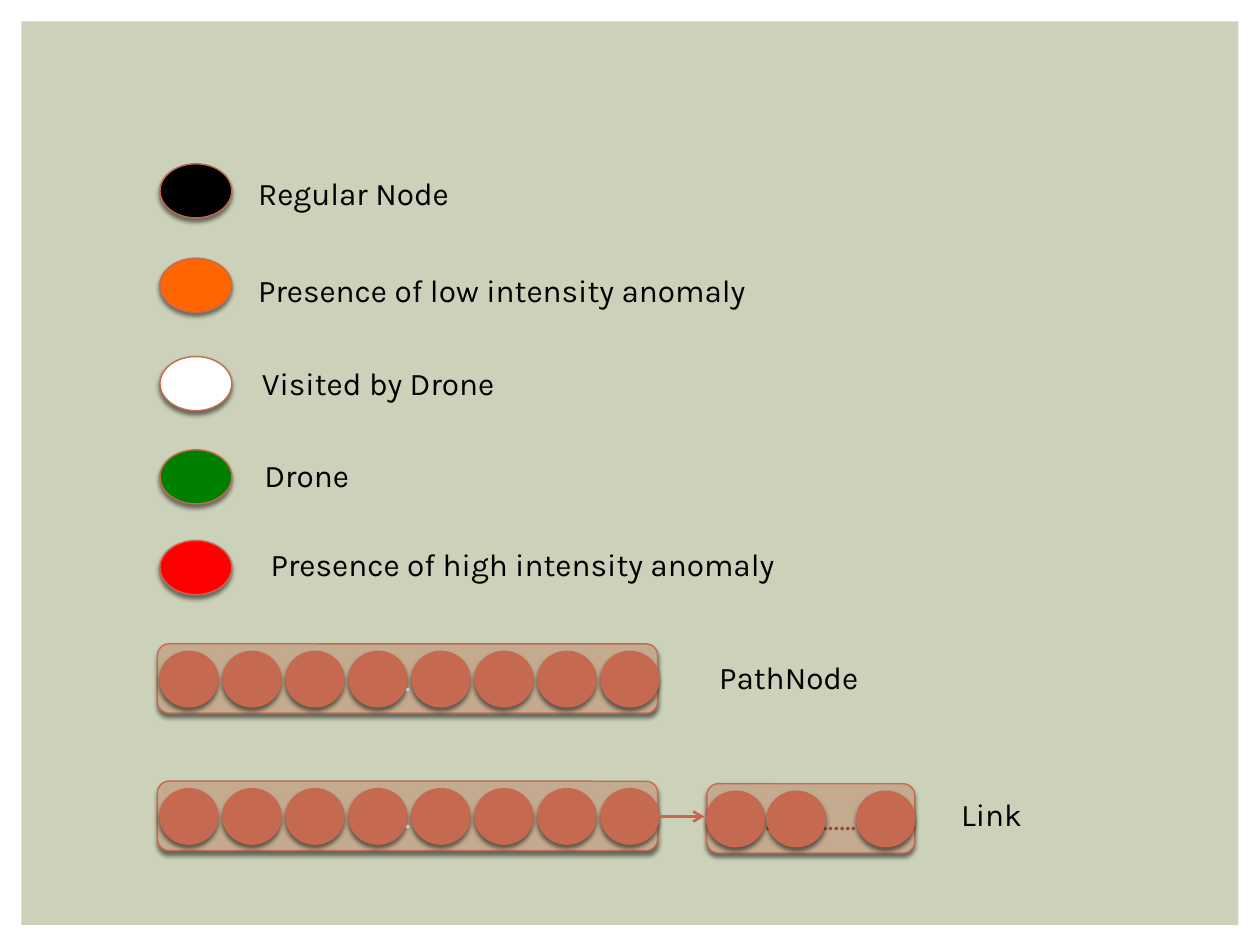
from dataclasses import dataclass
from lxml.etree import SubElement
from pptx import Presentation
from pptx.dml.color import RGBColor
from pptx.enum.shapes import MSO_CONNECTOR, MSO_SHAPE
from pptx.enum.text import MSO_ANCHOR, MSO_AUTO_SIZE, PP_ALIGN
from pptx.oxml import parse_xml
from pptx.oxml.ns import nsdecls, qn
from pptx.util import Inches, Pt


@dataclass(frozen=True)
class Theme:
    """Colours, font and sizes of the legend."""
    font: str = "Karla"
    size: int = 18
    text: str = "000000"
    light: str = "FFFFFF"
    panel: str = "CCD1B9"
    accent: str = "C66951"
    edge: str = "B8624B"
    tray: str = "C4AB8F"
    dots: str = "9E4934"
    outline: float = 0.79
    arrow: float = 1.5


T = Theme()
NODE_W, NODE_H = 0.46, 0.44
SHADOW = (f'<a:outerShdw {nsdecls("a")} blurRad="{Pt(2.5)}" dist="{Pt(2)}" dir="5400000" '
          'rotWithShape="0"><a:srgbClr val="000000"><a:alpha val="50000"/></a:srgbClr></a:outerShdw>')
STOPS = "".join(f'<a:gs pos="{pos}000"><a:srgbClr val="{color}"/></a:gs>'
                for pos, color in ((0, T.accent), (90, T.accent), (100, T.edge)))
GRADIENT = (f'<a:gradFill {nsdecls("a")} rotWithShape="1"><a:gsLst>{STOPS}</a:gsLst>'
            '<a:path path="circle"><a:fillToRect l="100000" t="100000" r="100000" b="100000"/>'
            '</a:path></a:gradFill>')


def rgb(color):
    """Turn a hex string into a colour."""
    return RGBColor.from_string(color)


def add_run(p, text, color):
    """Add one styled run to a paragraph."""
    r = p.add_run()
    r.text = text
    r.font.name, r.font.size = T.font, Pt(T.size)
    r.font.color.rgb = rgb(color)
    return r


def add_box(s, kind, x, y, w, h, fill):
    """Add a flat filled shape without outline."""
    sp = s.shapes.add_shape(kind, Inches(x), Inches(y), Inches(w), Inches(h))
    sp.shadow.inherit = False
    sp.fill.solid()
    sp.fill.fore_color.rgb = rgb(fill)
    sp.line.fill.background()
    return sp


def add_raised(s, kind, x, y, w, h, fill):
    """Add a shape with an accent outline and a soft shadow."""
    sp = add_box(s, kind, x, y, w, h, fill)
    sp.line.color.rgb = rgb(T.accent)
    sp.line.width = Pt(T.outline)
    sp._element.spPr.find(qn("a:effectLst")).append(parse_xml(SHADOW))
    return sp


def add_label(s, x, y, w, text):
    """Add a one-line label."""
    tf = s.shapes.add_textbox(Inches(x), Inches(y), Inches(w), Inches(0.4)).text_frame
    tf.word_wrap = True
    tf.auto_size = MSO_AUTO_SIZE.SHAPE_TO_FIT_TEXT
    add_run(tf.paragraphs[0], text, T.text)


def add_key(s, y, color, label_x, label_y, label_w, text):
    """Add a coloured oval and its meaning."""
    add_raised(s, MSO_SHAPE.OVAL, 1.27, y, 0.57, 0.43, color)
    add_label(s, label_x, label_y, label_w, text)


def add_tray(s, x, y, w, offsets, runs):
    """Add a rounded tray with text behind a row of nodes and return its paragraph."""
    tray = add_raised(s, MSO_SHAPE.ROUNDED_RECTANGLE, x, y, w, 0.55, T.tray)
    tf = tray.text_frame
    tf.word_wrap = True
    tf.vertical_anchor = MSO_ANCHOR.MIDDLE
    p = tf.paragraphs[0]
    p.alignment = PP_ALIGN.CENTER
    for text, color in runs:
        add_run(p, text, color)
    for dx in offsets:
        node = add_raised(s, MSO_SHAPE.OVAL, x + dx, y + 0.06, NODE_W, NODE_H, T.accent)
        spPr = node._element.spPr
        spPr.replace(spPr.find(qn("a:solidFill")), parse_xml(GRADIENT))
    return p


def add_path(s, x, y):
    """Add a full path of eight nodes."""
    add_tray(s, x, y, 3.97, [0.02 + 0.5 * i for i in range(8)], [(".", T.light)])


def add_short_path(s, x, y):
    """Add a shortened path with an ellipsis between its nodes."""
    p = add_tray(s, x, y, 1.65, (0, 0.48, 1.19), [("……", T.dots), ("……….", T.dots)])
    rPr = p.runs[1].font._element
    rPr.insert(0, parse_xml(f'<a:ln {nsdecls("a")} w="{Pt(0.75)}"><a:solidFill>'
                            f'<a:srgbClr val="{T.dots}"/></a:solidFill></a:ln>'))


def add_arrow(s, x1, x2, y):
    """Add a horizontal arrow."""
    c = s.shapes.add_connector(MSO_CONNECTOR.STRAIGHT, Inches(x1), Inches(y), Inches(x2), Inches(y))
    c.line.color.rgb = rgb(T.accent)
    c.line.width = Pt(T.arrow)
    SubElement(c.line._get_or_add_ln(), qn("a:tailEnd"), type="arrow")
    SubElement(c._element.spPr, qn("a:effectLst"))


def build_legend(s):
    """Build the legend slide."""
    add_box(s, MSO_SHAPE.RECTANGLE, 0.17, 0.17, 9.66, 7.17, T.panel)
    for key in (
        (1.3, "000000", 1.95, 1.33, 1.93, "Regular Node"),
        (2.05, "FF6600", 1.95, 2.1, 4.41, "Presence of low intensity anomaly"),
        (2.83, "FFFFFF", 1.98, 2.84, 2.21, "Visited by Drone"),
        (3.57, "008000", 2, 3.57, 2.21, "Drone"),
        (4.29, "FF0000", 2.05, 4.28, 4.32, "Presence of high intensity anomaly"),
    ):
        add_key(s, *key)
    for y in (5.11, 6.2):
        add_path(s, 1.25, y)
    add_label(s, 5.61, 5.17, 1.93, "PathNode")
    add_arrow(s, 5.22, 5.59, 6.48)
    add_short_path(s, 5.61, 6.22)
    add_label(s, 7.53, 6.26, 1.93, "Link")


prs = Presentation()
prs.slide_width, prs.slide_height = Inches(10), Inches(7.5)
build_legend(prs.slides.add_slide(prs.slide_layouts[6]))
prs.save("out.pptx")
